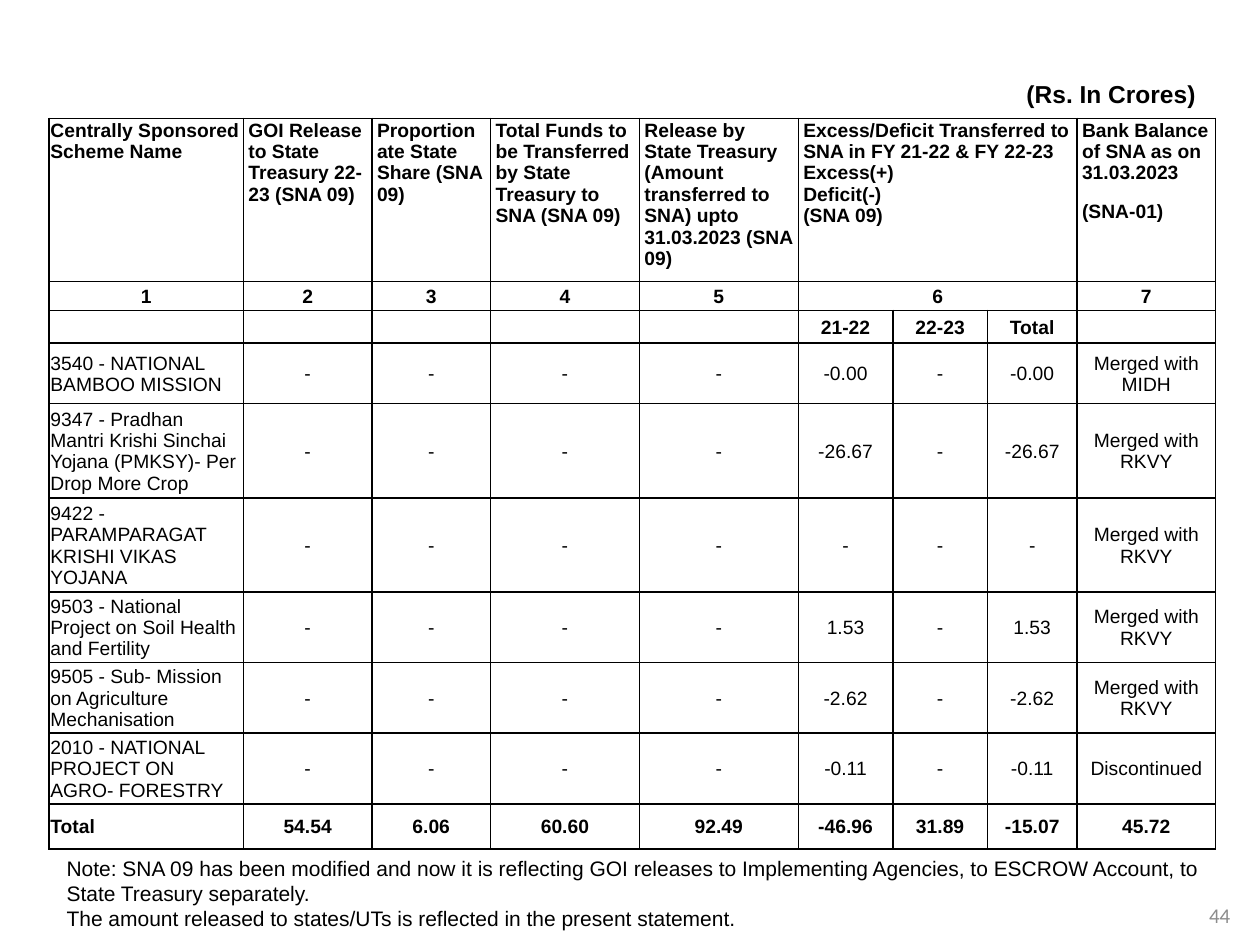
from lxml.etree import SubElement
from pptx import Presentation
from pptx.dml.color import RGBColor
from pptx.enum.text import MSO_ANCHOR as Anchor, PP_ALIGN as Align
from pptx.oxml.ns import qn
from pptx.util import Inches, Pt

COLORS = {"ink": "000000", "page_number": "8C8C8C"}
COLUMN_WIDTHS = [1.54, 1.02, 0.94, 1.18, 1.26, 0.75, 0.75, 0.71, 1.1]
ROW_HEIGHTS = [1.29, 0.23, 0.26, 0.48, 0.75, 0.74, 0.56, 0.56, 0.56, 0.36]
MERGED = 5, 7
HEADINGS = [
    "Centrally Sponsored Scheme Name",
    "GOI Release to State Treasury 22-23 (SNA 09)",
    "Proportionate State Share (SNA 09)",
    "Total Funds to be Transferred by State Treasury to SNA (SNA 09)",
    "Release by State Treasury (Amount transferred to SNA) upto 31.03.2023 (SNA 09)",
    "Excess/Deficit Transferred to SNA in FY 21-22 & FY 22-23\nExcess(+)\nDeficit(-)\n(SNA 09)",
    "", "",
    "Bank Balance of SNA as on 31.03.2023\n(SNA-01)",
]
NUMBERS = ["1", "2", "3", "4", "5", "6", "", "", "7"]
YEARS = [""] * 5 + ["21-22", "22-23", "Total", ""]
SCHEMES = [
    ("3540 - NATIONAL BAMBOO MISSION", "-0.00", "Merged with MIDH"),
    ("9347 - Pradhan Mantri Krishi Sinchai Yojana (PMKSY)- Per Drop More Crop",
     "-26.67", "Merged with RKVY"),
    ("9422 - PARAMPARAGAT KRISHI VIKAS YOJANA", "-", "Merged with RKVY"),
    ("9503 - National Project on Soil Health and Fertility", "1.53", "Merged with RKVY"),
    ("9505 - Sub- Mission on Agriculture Mechanisation", "-2.62", "Merged with RKVY"),
    ("2010 - NATIONAL PROJECT ON AGRO- FORESTRY", "-0.11", "Discontinued"),
]
TOTALS = ["Total", "54.54", "6.06", "60.60", "92.49", "-46.96", "31.89", "-15.07", "45.72"]


def share_box(presentation, left, top, width, height):
    across, down = presentation.slide_width, presentation.slide_height
    return [int(share * side / 100) for share, side in
            zip((left, top, width, height), (across, down, across, down))]


def format_paragraph(paragraph, size, align, bold=False, font="Arial", color="ink"):
    paragraph.alignment = align
    for run in paragraph.runs:
        run.font.size, run.font.bold, run.font.name = Pt(size), bold, font
        run.font.color.rgb = RGBColor.from_string(COLORS[color])


def add_text(slide, box, text, size, align, anchor=Anchor.TOP, **style):
    text_frame = slide.shapes.add_textbox(*box).text_frame
    text_frame.word_wrap = True
    text_frame.vertical_anchor = anchor
    text_frame.text = text
    for paragraph in text_frame.paragraphs:
        format_paragraph(paragraph, size, align, **style)
    return text_frame


def add_borders(cell):
    properties = cell._tc.get_or_add_tcPr()
    for side in ("lnL", "lnR", "lnT", "lnB"):
        line = SubElement(properties, qn(f"a:{side}"), w=str(Pt(1)))
        fill = SubElement(line, qn("a:solidFill"))
        SubElement(fill, qn("a:srgbClr"), val=COLORS["ink"])


def fill_cell(cell, text, align, anchor, bold, side_margin):
    add_borders(cell)
    cell.fill.background()
    cell.margin_left = cell.margin_right = Inches(side_margin)
    cell.margin_top, cell.margin_bottom = Inches(0.01), 0
    cell.vertical_anchor = anchor
    cell.text_frame.text = text
    for paragraph in cell.text_frame.paragraphs:
        format_paragraph(paragraph, 11, align, bold)
        if not text:
            SubElement(paragraph._p, qn("a:endParaRPr"), sz="1100")


def add_release_table(slide, box):
    left, top, width, height = box
    scheme_rows = [[name, *"----", excess, "-", excess, status]
                   for name, excess, status in SCHEMES]
    rows = [HEADINGS, NUMBERS, YEARS, *scheme_rows, TOTALS]
    table = slide.shapes.add_table(len(rows), len(COLUMN_WIDTHS), *box).table
    table.first_row = table.horz_banding = False
    for column, share in zip(table.columns, COLUMN_WIDTHS):
        column.width = int(width * share / sum(COLUMN_WIDTHS))
    for row, share in zip(table.rows, ROW_HEIGHTS):
        row.height = int(height * share / sum(ROW_HEIGHTS))
    for row_index, values in enumerate(rows):
        in_header = row_index < 2
        bold = row_index < 3 or values is TOTALS
        for column_index, text in enumerate(values):
            plain_left = values is HEADINGS or column_index == 0 and not in_header
            first_heading = values is HEADINGS and column_index == 0
            fill_cell(table.cell(row_index, column_index), text,
                      Align.LEFT if plain_left else Align.CENTER,
                      Anchor.TOP if in_header else Anchor.MIDDLE, bold,
                      0.04 if in_header and not first_heading else 0.01)
    for row_index in range(2):
        table.cell(row_index, MERGED[0]).merge(table.cell(row_index, MERGED[1]))
        for column_index in range(len(COLUMN_WIDTHS)):
            if row_index == 1:
                table.cell(1, column_index).text_frame.paragraphs[0].line_spacing = 1.15
    table.cell(0, len(COLUMN_WIDTHS) - 1).text_frame.paragraphs[0].space_after = Pt(10)


def add_unit_caption(slide, box):
    text_frame = add_text(slide, box, "(Rs. In Crores)", 14, Align.RIGHT,
                          Anchor.BOTTOM, bold=True)
    text_frame.margin_right = Inches(0.15)


def add_note(slide, box):
    add_text(slide, box,
             "Note: SNA 09 has been modified and now it is reflecting GOI releases to "
             "Implementing Agencies, to ESCROW Account, to State Treasury separately.\n"
             "The amount released to states/UTs is reflected in the present statement.",
             12, Align.LEFT)


def add_page_number(slide, box):
    text_frame = add_text(slide, box, "44", 12, Align.CENTER, Anchor.MIDDLE,
                          font="Calibri", color="page_number")
    text_frame.margin_left = text_frame.margin_right = 0


def main():
    presentation = Presentation()
    presentation.slide_width, presentation.slide_height = Inches(10), Inches(7.5)
    slide = presentation.slides.add_slide(presentation.slide_layouts[6])
    add_unit_caption(slide, share_box(presentation, 4.3, 4.53, 92.1, 7.6))
    add_release_table(slide, share_box(presentation, 3.9, 12.53, 92.6, 77.2))
    add_page_number(slide, share_box(presentation, 94.8, 94.13, 4, 5.33))
    add_note(slide, share_box(presentation, 4.3, 89.87, 92.2, 9.47))
    presentation.save("out.pptx")


if __name__ == "__main__":
    main()
